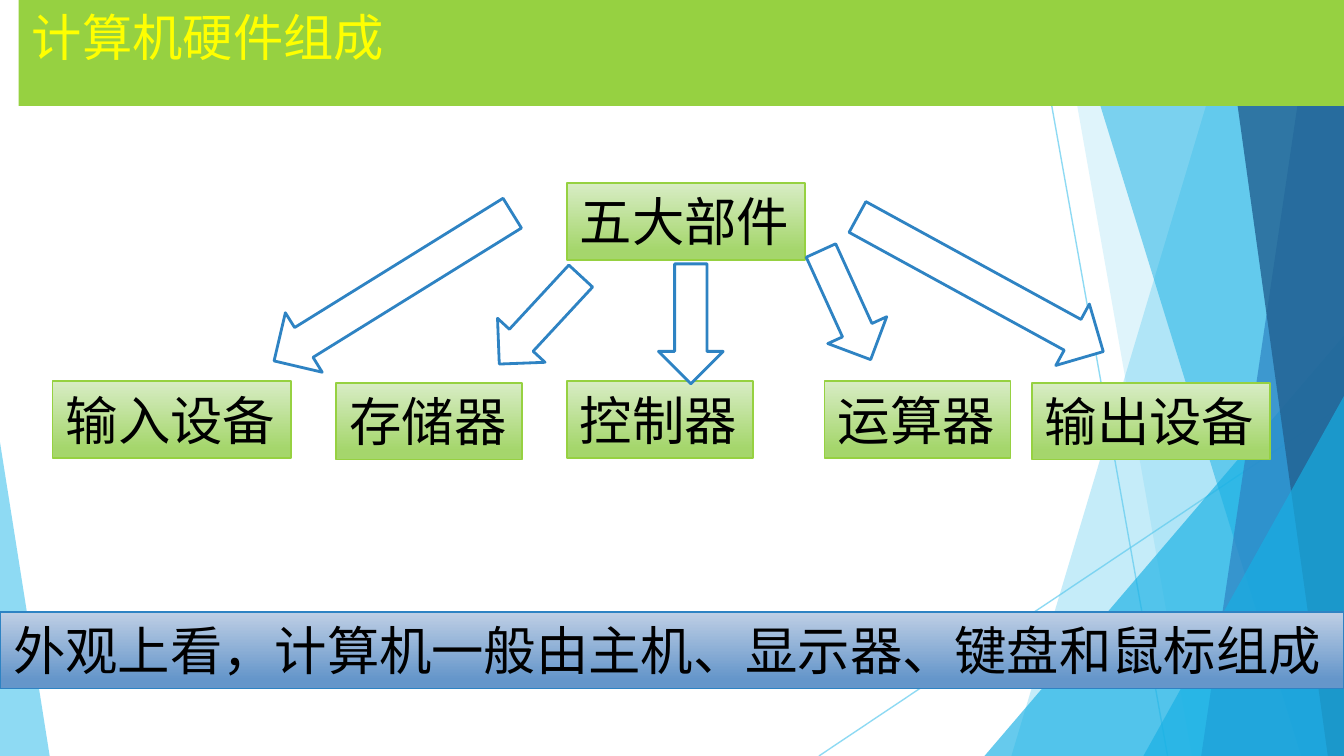
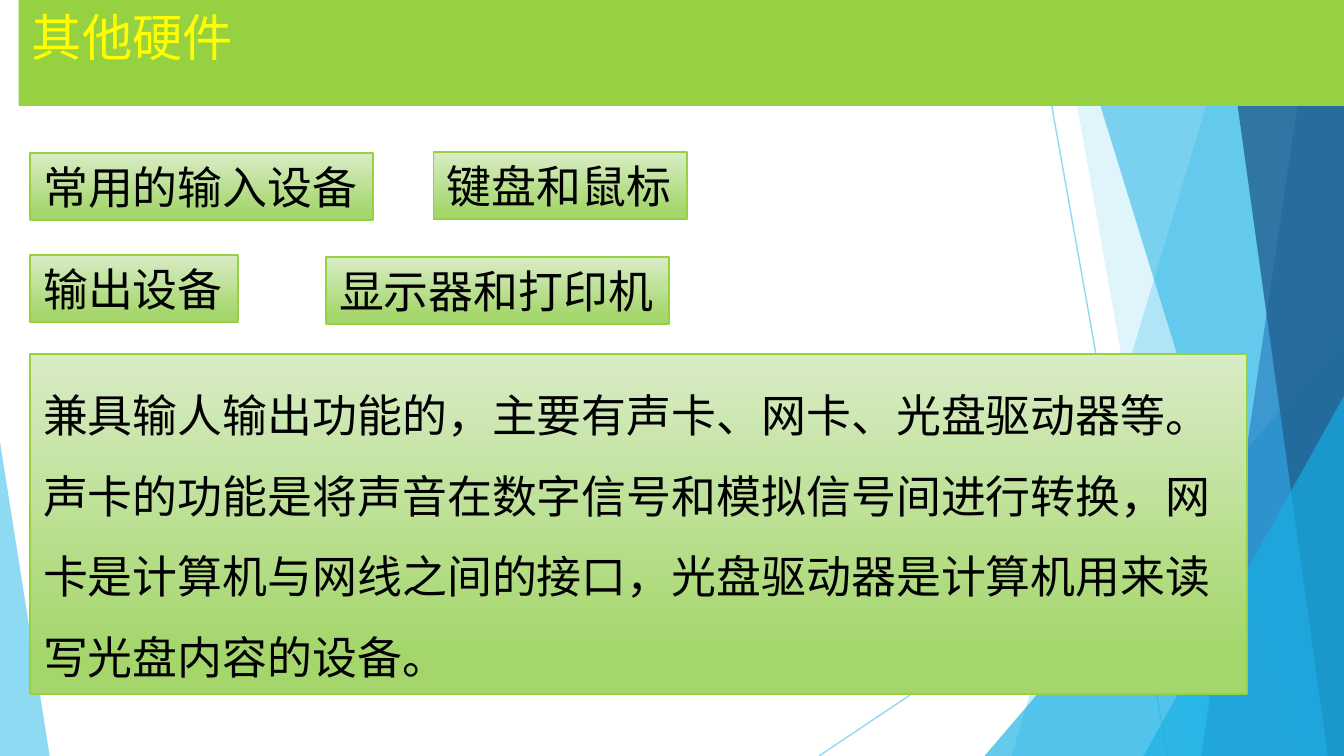
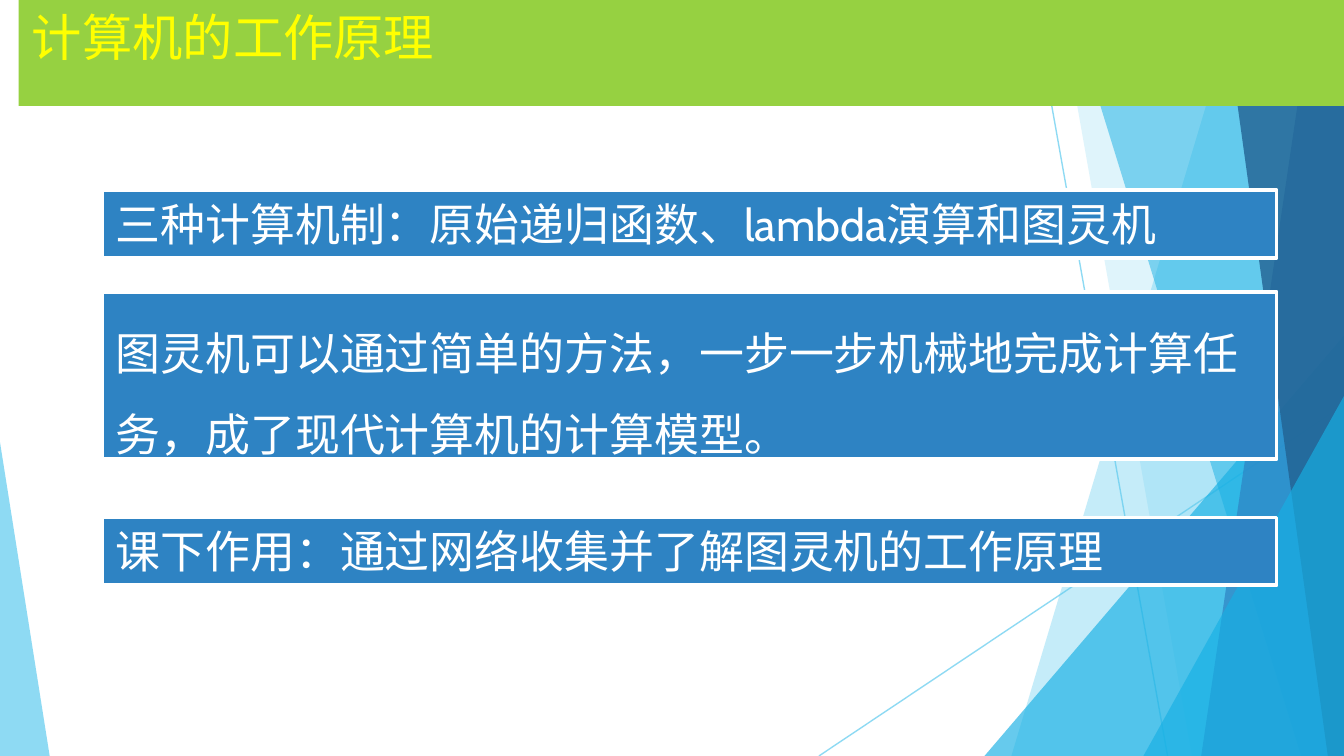
from lxml.etree import SubElement
from pptx import Presentation
from pptx.dml.color import RGBColor
from pptx.enum.shapes import MSO_CONNECTOR, MSO_SHAPE
from pptx.enum.text import MSO_ANCHOR, MSO_AUTO_SIZE, PP_ALIGN
from pptx.oxml.ns import qn
from pptx.util import Pt

# Shared look
WIDTH, HEIGHT = 718.5, 404
FONT = "Cabin"
BLACK, WHITE, YELLOW = "000000", "FFFFFF", "FFFF00"
GREEN, BLUE, NAVY = "96D141", "2E83C3", "226292"
SKY, CYAN = "5FCBEF", "17B0E4"
GREEN_FADE = ("D8ECC5", "A5D66C")
BLUE_FADE = ("BFCFE5", "6596CA")


def rgb(color):
    return RGBColor.from_string(color)


def set_alpha(s, percent):
    for clr in s._element.spPr.iter(qn("a:srgbClr")):
        SubElement(clr, qn("a:alpha")).set("val", str(percent * 1000))


def paint(s, fill, line=None, weight=1):
    """Fill with one colour, or with a (top, bottom) gradient."""
    s.shadow.inherit = False
    if isinstance(fill, tuple):
        s.fill.gradient()
        s.fill.gradient_angle = 270
        for stop, color, position in zip(s.fill.gradient_stops, fill, (0, 0.88)):
            stop.color.rgb = rgb(color)
            stop.position = position
    else:
        s.fill.solid()
        s.fill.fore_color.rgb = rgb(fill)
    if line:
        s.line.color.rgb = rgb(line)
        s.line.width = Pt(weight)
    else:
        s.line.fill.background()


def add_preset(slide, kind, x, y, w, h):
    return slide.shapes.add_shape(kind, Pt(x), Pt(y), Pt(w), Pt(h))


def add_box(slide, x, y, w, h, paragraphs, size, color=BLACK, fill=GREEN_FADE,
            line=GREEN, weight=1, wrap=True, spacing=None):
    s = add_preset(slide, MSO_SHAPE.RECTANGLE, x, y, w, h)
    paint(s, fill, line, weight)
    tf = s.text_frame
    tf.word_wrap = wrap
    tf.auto_size = MSO_AUTO_SIZE.NONE
    tf.vertical_anchor = MSO_ANCHOR.TOP
    for i, text in enumerate(paragraphs):
        p = tf.add_paragraph() if i else tf.paragraphs[0]
        p.alignment = PP_ALIGN.LEFT
        if spacing:
            p.line_spacing = spacing
        r = p.add_run()
        r.text = text
        r.font.name = FONT
        r.font.size = Pt(size)
        r.font.color.rgb = rgb(color)


def add_label(slide, x, y, text, size):
    """Green label as wide as its text plus the margins."""
    height = 41 if size == 28 else 36
    add_box(slide, x, y, len(text) * size + 15.5, height, [text], size, wrap=False)


def add_panel(slide, y, h, text, spacing=None):
    add_box(slide, 54.7, y, 627.8, h, [text], 24, WHITE, BLUE, WHITE, 2,
            spacing=spacing)


def add_arrow(slide, x, y, w, h, angle):
    s = add_preset(slide, MSO_SHAPE.DOWN_ARROW, x, y, w, h)
    s.rotation = angle
    paint(s, WHITE, BLUE, 1.5)


# Backdrop parts
def add_ray(slide, x1, y1, x2, y2):
    s = slide.shapes.add_connector(MSO_CONNECTOR.STRAIGHT,
                                   Pt(x1), Pt(y1), Pt(x2), Pt(y2))
    s.line.color.rgb = rgb(SKY)
    s.line.width = Pt(0.75)
    set_alpha(s, 70)
    SubElement(s._element.spPr, qn("a:effectLst"))


def add_facet(slide, top_x, bottom_x, color, alpha):
    """Full-height facet between a slanted edge and the right slide edge."""
    builder = slide.shapes.build_freeform(Pt(top_x), Pt(0))
    builder.add_line_segments([(Pt(WIDTH), Pt(0)), (Pt(WIDTH), Pt(HEIGHT)),
                               (Pt(bottom_x), Pt(HEIGHT))])
    s = builder.convert_to_shape()
    paint(s, color)
    set_alpha(s, alpha)


def add_corner(slide, x, w, h, apex, color, alpha):
    s = add_preset(slide, MSO_SHAPE.ISOSCELES_TRIANGLE, x, HEIGHT - h, w, h)
    s.adjustments[0] = apex
    paint(s, color)
    set_alpha(s, alpha)


def add_backdrop(slide):
    add_ray(slide, 552.2, 0, 624.2, HEIGHT)
    add_ray(slide, 718, 216.7, 437.8, HEIGHT)
    add_facet(slide, 661.7, 540.7, SKY, 36)
    add_facet(slide, 565.9, 637.2, SKY, 20)
    add_corner(slide, 526.3, 192.2, 224.7, 1, CYAN, 66)
    add_facet(slide, 570.8, 695.5, CYAN, 50)
    add_facet(slide, 702, 642.2, BLUE, 70)
    add_facet(slide, 653.8, 709.9, NAVY, 80)
    add_corner(slide, 611.3, 107.2, 192.3, 1, CYAN, 66)
    add_corner(slide, 0, 26.6, 167.8, 0, SKY, 70)


def new_slide(prs, title):
    slide = prs.slides.add_slide(prs.slide_layouts[6])
    add_backdrop(slide)
    add_box(slide, 10, 0, WIDTH - 10, 56.7, [title], 26.9, YELLOW, GREEN, None)
    return slide


# Slides
def build_components(prs):
    slide = new_slide(prs, "计算机硬件组成")
    for x, y, text in [(28.1, 203.6, "输入设备"), (179.8, 204.6, "存储器"),
                       (303, 203.6, "控制器"), (440.8, 203.6, "运算器"),
                       (551.5, 204.6, "输出设备"), (303, 97.8, "五大部件")]:
        add_label(slide, x, y, text, 28)
    for x, y, angle in [(191.5, 78.5, 58.2), (505.4, 77, 298.7)]:
        add_arrow(slide, x, y, 37.4, 149.8, angle)
    for x, y, angle in [(434.9, 131, 335.5), (271.4, 139, 42.8), (352, 141, 0)]:
        add_arrow(slide, x, y, 34.6, 64.1, angle)
    add_box(slide, 0, 327, WIDTH, 41,
            ["外观上看，计算机一般由主机、显示器、键盘和鼠标组成"],
            28, fill=BLUE_FADE, line=BLUE)


def build_other_hardware(prs):
    slide = new_slide(prs, "其他硬件")
    for x, y, text in [(16, 81.8, "常用的输入设备"), (231.8, 81.2, "键盘和鼠标"),
                       (16, 136.3, "输出设备"), (174.2, 137.4, "显示器和打印机")]:
        add_label(slide, x, y, text, 24)
    add_box(slide, 16, 189, 650.5, 181.8,
            ["兼具输人输出功能的，主要有声卡、网卡、光盘驱动器等。",
             "声卡的功能是将声音在数字信号和模拟信号间进行转换，网卡是计算机与网线之间的接口，"
             "光盘驱动器是计算机用来读写光盘内容的设备。"],
            24, spacing=1.5)


def build_principle(prs):
    slide = new_slide(prs, "计算机的工作原理")
    add_panel(slide, 101.5, 36.3, "三种计算机制：原始递归函数、lambda演算和图灵机")
    add_panel(slide, 156, 89.4,
              "图灵机可以通过简单的方法，一步一步机械地完成计算任务，成了现代计算机的计算模型。",
              1.5)
    add_panel(slide, 276.5, 36.3, "课下作用：通过网络收集并了解图灵机的工作原理")


def main():
    prs = Presentation()
    prs.slide_width, prs.slide_height = Pt(WIDTH), Pt(HEIGHT)
    build_components(prs)
    build_other_hardware(prs)
    build_principle(prs)
    prs.save("out.pptx")


if __name__ == "__main__":
    main()
